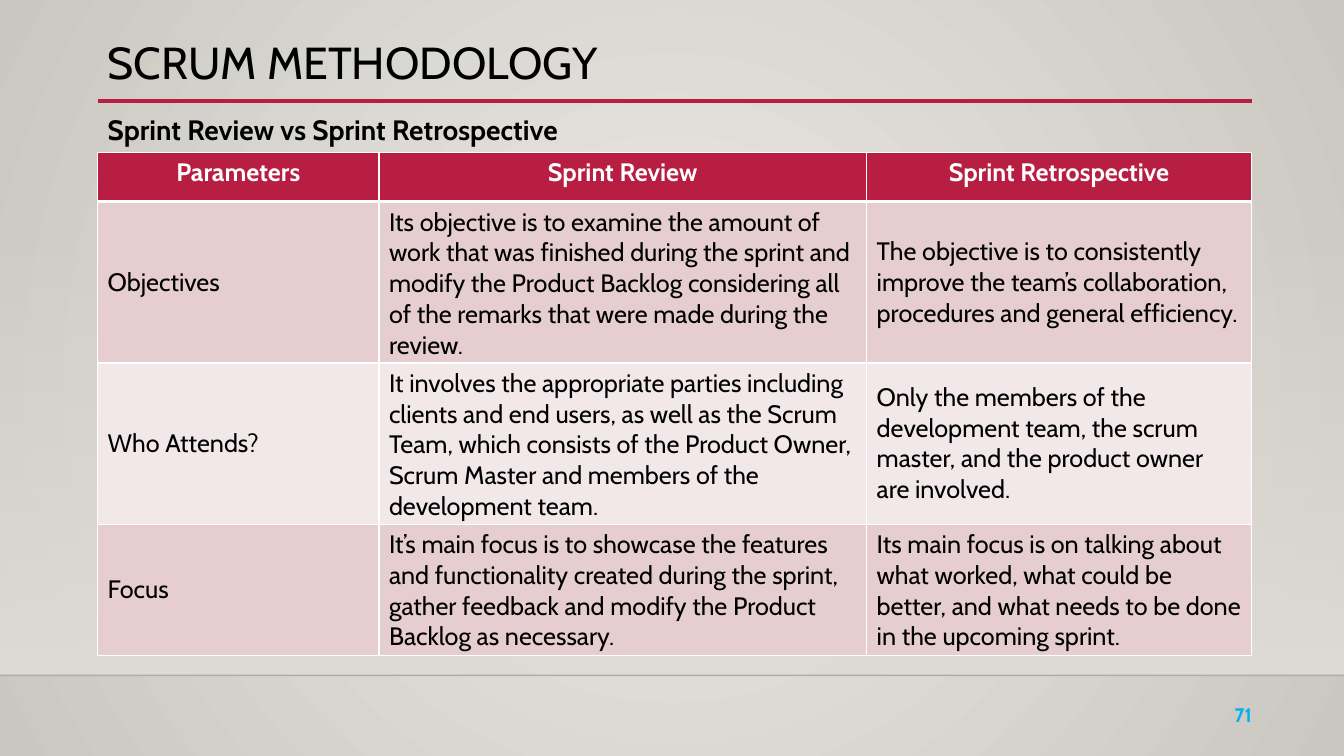
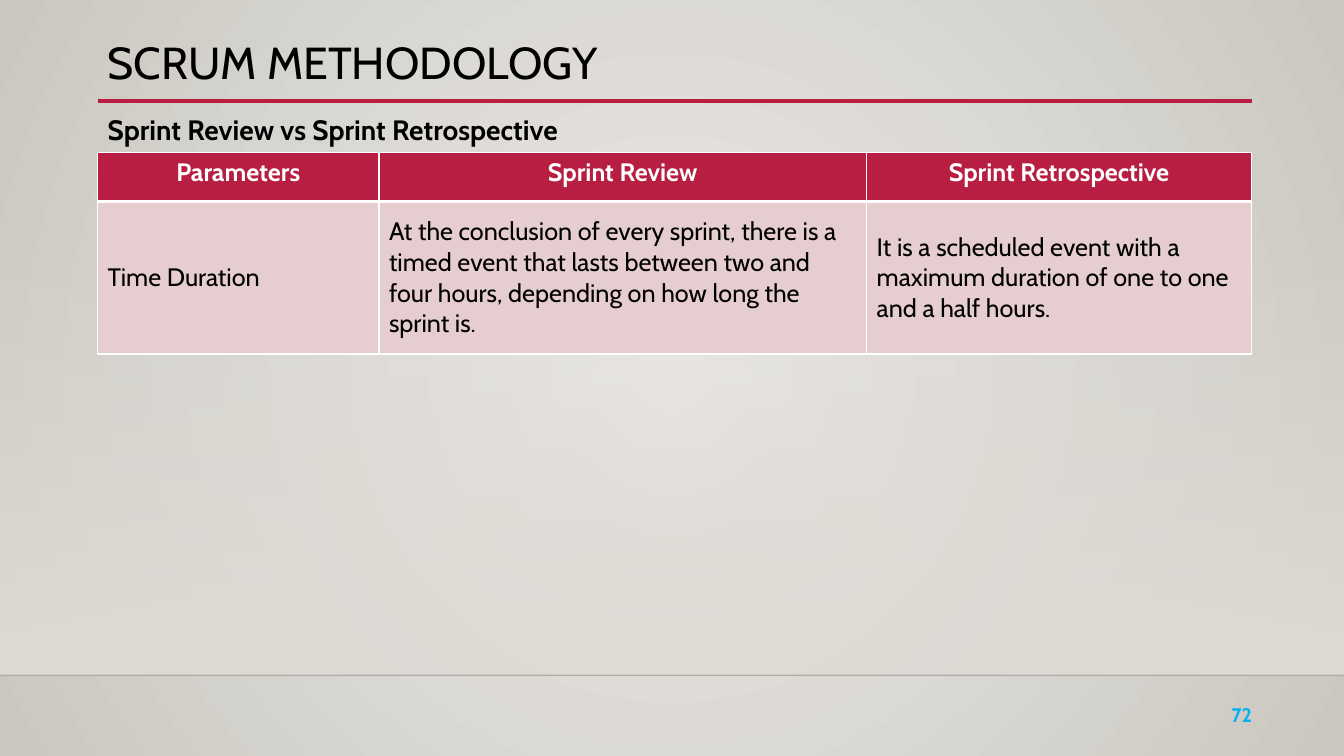
import pptx
import pptx.util
import pptx.dml.color
import pptx.enum.shapes
import pptx.enum.text
import pptx.oxml
import pptx.oxml.ns
from lxml import etree

Cm, Pt, RGB = pptx.util.Cm, pptx.util.Pt, pptx.dml.color.RGBColor
ALIGN, ANCHOR = pptx.enum.text.PP_ALIGN, pptx.enum.text.MSO_ANCHOR
qn = pptx.oxml.ns.qn

# Content
TITLE = "SCRUM METHODOLOGY"
SUBTITLE = "Sprint Review vs Sprint Retrospective"
HEADER = ("Parameters", "Sprint Review", "Sprint Retrospective")
SLIDES = [
    {"number": 71, "heights": (3.84, 2.95, 2.95), "rows": [
        ("Objectives",
         "Its objective is to examine the amount of work that was finished during the sprint "
         "and modify the Product Backlog considering all of the remarks that were made during "
         "the review.",
         "The objective is to consistently improve the team’s collaboration, procedures and "
         "general efficiency."),
        ("Who Attends?",
         "It involves the appropriate parties including clients and end users, as well as the "
         "Scrum Team, which consists of the Product Owner, Scrum Master and members of the "
         "development team.",
         "Only the members of the development team, the scrum master, and the product owner "
         "are involved."),
        ("Focus",
         "It’s main focus is to showcase the features and functionality created during the "
         "sprint, gather feedback and modify the Product Backlog as necessary.",
         "Its main focus is on talking about what worked, what could be better, and what needs "
         "to be done in the upcoming sprint."),
    ]},
    {"number": 72, "heights": (3.84,), "rows": [
        ("Time Duration",
         "At the conclusion of every sprint, there is a timed event that lasts between two and "
         "four hours, depending on how long the sprint is.",
         "It is a scheduled event with a maximum duration of one to one and a half hours."),
    ]},
]

# Shared look
FONT = "Cabin"
BLACK, WHITE = RGB(0, 0, 0), RGB(255, 255, 255)
CRIMSON, SKY = RGB(0xB7, 0x1E, 0x42), RGB(0x00, 0xB0, 0xF0)
BAND_FILLS = (RGB(0xE6, 0xCD, 0xCF), RGB(0xF3, 0xE8, 0xE9))
GLOW, EDGE, FLOOR = RGB(0xEC, 0xEA, 0xE7), RGB(0xCA, 0xC7, 0xC1), RGB(0xDF, 0xDB, 0xD5)

PAGE_WIDTH, PAGE_HEIGHT = Cm(33.87), Cm(19.05)
LEFT, WIDTH = Cm(2.46), Cm(29.08)
RULE_Y, FLOOR_TOP, FLOOR_Y = Cm(2.54), Cm(5.61), Cm(17.02)
TABLE_TOP, HEADER_HEIGHT = Cm(3.84), Cm(1.24)
COLUMN_WIDTHS = (Cm(7.09), Cm(12.29), Cm(9.7))
PLACEHOLDER_BOXES = (
    {"left": LEFT, "top": Cm(0.86), "width": WIDTH, "height": Cm(1.55)},
    {"left": LEFT, "top": RULE_Y, "width": WIDTH, "height": Cm(14.1)},
)
NUMBER_BOX = (Cm(29.92), Cm(17.6), Cm(1.88), Cm(0.91))

TITLE_FONT = {"size": Pt(32), "bold": False}
SUBTITLE_FONT = {"size": Pt(20), "bold": True}
NUMBER_FONT = {"size": Pt(14), "bold": True}
HEADER_FONT = {"size": Pt(18), "bold": True}
CELL_FONT = {"size": Pt(18), "bold": False}


def apply(target, values):
    for name, value in values.items():
        setattr(target, name, value)


def write(frame, text, font, color, **para_format):
    """Fill a text frame with one formatted paragraph and return the paragraph."""
    para = frame.paragraphs[0]
    apply(para, para_format)
    span = para.add_run()
    span.text = text
    apply(span.font, {"name": FONT, **font})
    span.font.color.rgb = color
    return para


def set_opacity(element, percent):
    """Make the first RGB colour inside an element partly transparent."""
    color = next(element.iter(qn("a:srgbClr")))
    etree.SubElement(color, qn("a:alpha")).set("val", str(percent * 1000))


def set_gradient(fill, *colors):
    fill.gradient()
    for stop, color in zip(fill.gradient_stops, colors):
        stop.color.rgb = color


def add_rule(page, left, y, width, color, weight):
    rule = page.shapes.add_connector(
        pptx.enum.shapes.MSO_CONNECTOR.STRAIGHT, left, y, left + width, y)
    rule.line.color.rgb = color
    rule.line.width = Pt(weight)
    etree.SubElement(rule.element.spPr, qn("a:effectLst"))
    return rule


def set_background(layout):
    set_gradient(layout.background.fill, GLOW, EDGE)
    linear = next(layout.element.iter(qn("a:lin")))
    linear.getparent().replace(linear, pptx.oxml.parse_xml(
        f'<a:path {pptx.oxml.ns.nsdecls("a")} path="circle">'
        '<a:fillToRect l="50000" t="50000" r="50000" b="50000"/></a:path>'))


def decorate_layout(layout, page):
    """Draw the floor and rules on a page, then move them behind the layout's text."""
    floor = page.shapes.add_shape(
        pptx.enum.shapes.MSO_SHAPE.RECTANGLE, 0, FLOOR_TOP, PAGE_WIDTH, FLOOR_Y - FLOOR_TOP)
    floor.shadow.inherit = False
    floor.line.fill.background()
    set_gradient(floor.fill, FLOOR, FLOOR)
    floor.fill.gradient_angle = 270
    set_opacity(floor.element.spPr, 0)

    floor_line = add_rule(page, 0, FLOOR_Y, PAGE_WIDTH, RGB(0, 0, 1), 1)
    set_opacity(floor_line.element.spPr, 20)
    title_rule = add_rule(page, LEFT, RULE_Y, WIDTH, CRIMSON, 2.5)

    for index, shape in enumerate((floor, floor_line, title_rule), start=2):
        layout.element.cSld.spTree.insert(index, shape.element)


def prepare_layout(layout):
    title, body, *footers = layout.placeholders
    for placeholder, box in zip((title, body), PLACEHOLDER_BOXES):
        apply(placeholder, box)
    for footer in footers:
        footer.element.getparent().remove(footer.element)
    set_background(layout)


def set_borders(cell, row):
    """White borders, thicker between the header and the first row."""
    weights = {"lnL": 1, "lnR": 1, "lnT": 3 if row == 1 else 1, "lnB": 3 if row == 0 else 1}
    properties = cell._tc.get_or_add_tcPr()
    for side, weight in weights.items():
        line = etree.SubElement(properties, qn(f"a:{side}"), w=str(Pt(weight)))
        fill = etree.SubElement(line, qn("a:solidFill"))
        etree.SubElement(fill, qn("a:srgbClr"), val=str(WHITE))


def add_comparison(page, rows, heights):
    row_heights = [HEADER_HEIGHT, *map(Cm, heights)]
    table = page.shapes.add_table(
        len(row_heights), len(HEADER), LEFT, TABLE_TOP, WIDTH, sum(row_heights)).table
    for column, width in zip(table.columns, COLUMN_WIDTHS):
        column.width = width
    for r, (height, texts) in enumerate(zip(row_heights, [HEADER, *rows])):
        table.rows[r].height = height
        for c, text in enumerate(texts):
            cell = table.cell(r, c)
            set_borders(cell, r)
            cell.fill.solid()
            if r == 0:
                cell.fill.fore_color.rgb = CRIMSON
                write(cell.text_frame, text, HEADER_FONT, WHITE, alignment=ALIGN.CENTER)
            else:
                cell.fill.fore_color.rgb = BAND_FILLS[(r - 1) % 2]
                cell.vertical_anchor = ANCHOR.MIDDLE
                write(cell.text_frame, text, CELL_FONT, BLACK)


def fill_page(page, content):
    title, body = page.placeholders
    for placeholder in (title, body):
        placeholder.text_frame.auto_size = pptx.enum.text.MSO_AUTO_SIZE.NONE
    write(title.text_frame, TITLE, TITLE_FONT, BLACK, alignment=ALIGN.LEFT, line_spacing=0.9)
    para = write(body.text_frame, SUBTITLE, SUBTITLE_FONT, BLACK,
                 line_spacing=1.2, space_before=Pt(10))
    properties = para._p.get_or_add_pPr()
    properties.set("marL", "0")
    properties.set("indent", "0")
    etree.SubElement(properties, qn("a:buNone"))

    number = page.shapes.add_textbox(*NUMBER_BOX).text_frame
    number.word_wrap = True
    write(number, str(content["number"]), NUMBER_FONT, SKY, alignment=ALIGN.RIGHT)
    add_comparison(page, content["rows"], content["heights"])


def main():
    deck = pptx.Presentation()
    apply(deck, {"slide_width": PAGE_WIDTH, "slide_height": PAGE_HEIGHT})
    layout = deck.slide_layouts[1]
    prepare_layout(layout)
    pages = [deck.slides.add_slide(layout) for _ in SLIDES]
    decorate_layout(layout, pages[0])
    for page, content in zip(pages, SLIDES):
        fill_page(page, content)
    deck.save("out.pptx")


if __name__ == "__main__":
    main()
